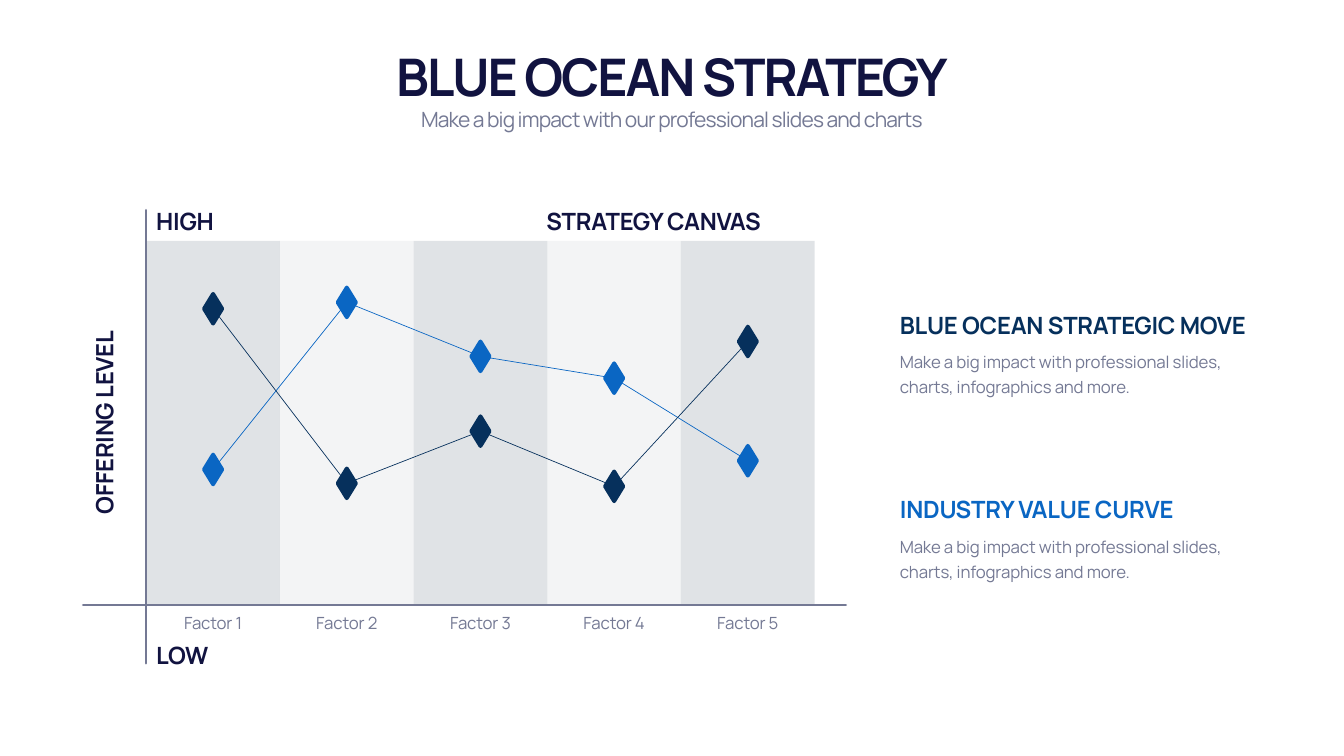
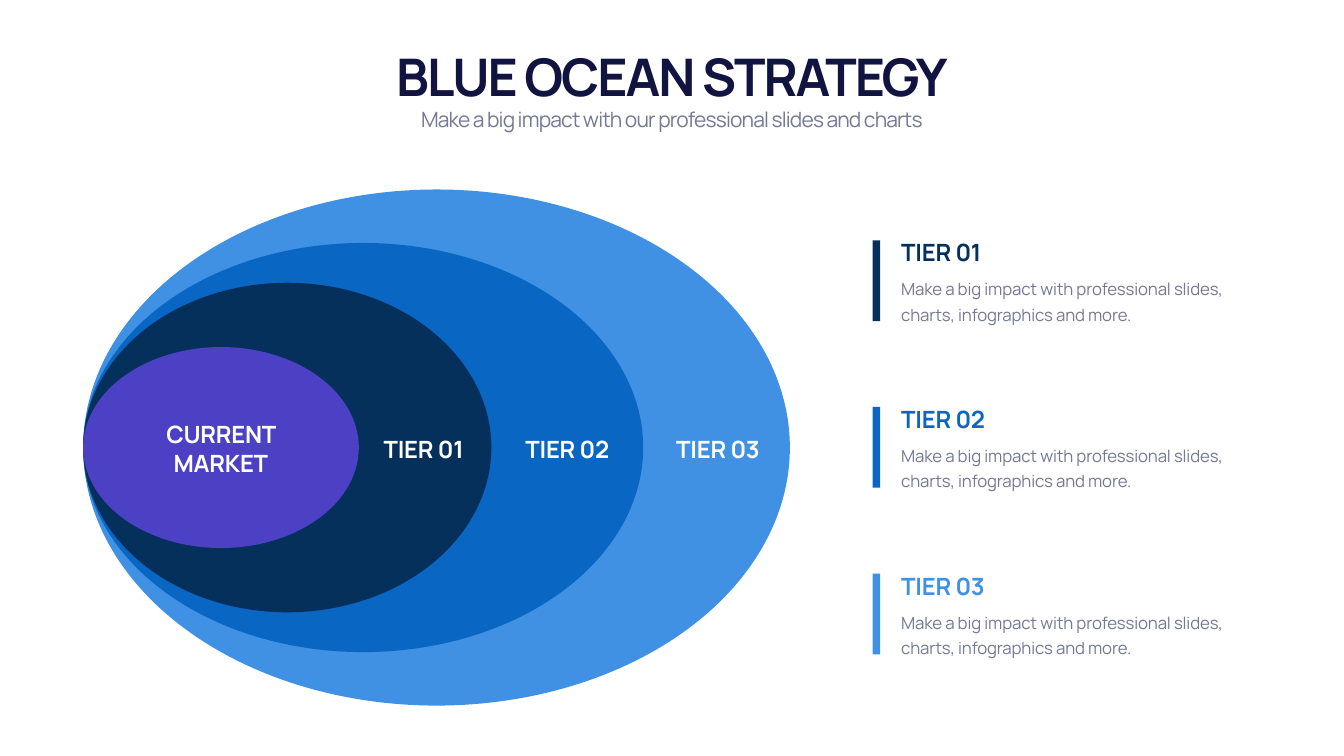
import lxml.etree
import pptx
import pptx.dml.color
import pptx.enum.shapes
import pptx.enum.text
import pptx.oxml.ns
import pptx.util

Cm = pptx.util.Cm
Pt = pptx.util.Pt
Shapes = pptx.enum.shapes.MSO_SHAPE
Align = pptx.enum.text.PP_ALIGN
Anchor = pptx.enum.text.MSO_ANCHOR
qn = pptx.oxml.ns.qn

FONT = "Manrope"
COLORS = {
    "ink": "111340",
    "gray": "747994",
    "band": "C3C8CE",
    "navy": "06305C",
    "blue": "0A66C3",
    "sky": "4091E3",
    "violet": "4C40C5",
    "white": "FFFFFF",
}
HEADING = {"size": 34, "bold": True, "spacing": -0.3}
DETAIL = {"size": 24, "color": "gray", "spacing": -0.2, "leading": 36}
DETAIL_TEXT = "Make a big impact with professional slides, charts, infographics and more."
HEADING_HEIGHT = 1.7


def rgb(name):
    """Return the named colour."""
    return pptx.dml.color.RGBColor.from_string(COLORS[name])


def write(shape, text, size=24, color="ink", bold=False, spacing=0, leading=None,
          align=Align.LEFT, anchor=Anchor.TOP):
    """Put one formatted paragraph into a shape."""
    frame = shape.text_frame
    frame.word_wrap = True
    frame.auto_size = pptx.enum.text.MSO_AUTO_SIZE.SHAPE_TO_FIT_TEXT
    frame.vertical_anchor = anchor
    paragraph = frame.paragraphs[0]
    paragraph.alignment = align
    paragraph.space_before = Pt(0)
    paragraph.line_spacing = Pt(leading) if leading else 1.0
    run = paragraph.add_run()
    run.text = text
    run.font.name = FONT
    run.font.size = Pt(size)
    run.font.bold = bold
    run.font.color.rgb = rgb(color)
    run.font._element.set("spc", str(round(spacing * 100)))


def add_text(slide, box, text, **style):
    """Add a text box given as left, top, width, height in centimetres."""
    shape = slide.shapes.add_textbox(*map(Cm, box))
    write(shape, text, **style)
    return shape


def add_filled(slide, kind, box, color, opacity=None):
    """Add a plain filled shape without outline."""
    shape = slide.shapes.add_shape(kind, *map(Cm, box))
    shape.shadow.inherit = False
    shape.fill.solid()
    shape.fill.fore_color.rgb = rgb(color)
    shape.line.fill.background()
    if opacity:
        fill_color = shape._element.spPr.find(qn("a:solidFill"))[0]
        lxml.etree.SubElement(fill_color, qn("a:alpha"), val=str(opacity * 1000))
    return shape


def add_axis(slide, start, end):
    """Draw one round-ended axis line."""
    axis = slide.shapes.add_connector(
        pptx.enum.shapes.MSO_CONNECTOR.STRAIGHT, *map(Cm, start + end))
    axis.line.width = Pt(3.5)
    axis.line.color.rgb = rgb("gray")
    properties = axis._element.spPr
    properties.find(qn("a:ln")).set("cap", "rnd")
    lxml.etree.SubElement(properties, qn("a:effectLst"))


def add_marker(slide, x, y, color):
    """Draw a diamond with rounded corners around a point."""
    width, height = 0.92, 1.5
    marker = add_filled(slide, Shapes.DIAMOND,
                        (x - width / 2, y - height / 2, width, height), color)
    marker.line.color.rgb = rgb(color)
    marker.line.width = Pt(5.5)
    outline = marker._element.spPr.find(qn("a:ln"))
    lxml.etree.SubElement(outline, qn("a:round"))


def add_curve(slide, points, color):
    """Draw one value curve with its markers."""
    for x, y in points:
        add_marker(slide, x, y, color)
    corners = [(Cm(x), Cm(y)) for x, y in points]
    builder = slide.shapes.build_freeform(*corners[0])
    builder.add_line_segments(corners[1:], close=False)
    curve = builder.convert_to_shape()
    curve.shadow.inherit = False
    curve.fill.background()
    curve.line.color.rgb = rgb(color)
    curve.line.width = Pt(1)


def add_titled_slide(presentation):
    """Add a slide with the shared title and subtitle."""
    slide = presentation.slides.add_slide(presentation.slide_layouts[0])
    title, subtitle = slide.placeholders
    for shape, top, height in ((title, 2.08, 3.43), (subtitle, 5.26, 1.55)):
        shape.left, shape.top = Cm(4.22), Cm(top)
        shape.width, shape.height = Cm(59.26), Cm(height)
    write(title, "BLUE OCEAN STRATEGY", size=74, bold=True, spacing=-2.9,
          align=Align.CENTER, anchor=Anchor.BOTTOM)
    write(subtitle, "Make a big impact with our professional slides and charts",
          size=30, color="gray", spacing=-1.2, align=Align.CENTER)
    return slide


def add_legend_item(slide, left, top, width, heading, color):
    """Add a coloured heading with its description below."""
    add_text(slide, (left, top, width, HEADING_HEIGHT), heading, color=color,
             anchor=Anchor.BOTTOM, **HEADING)
    add_text(slide, (left, top + 1.83, width, 2.77), DETAIL_TEXT, **DETAIL)


def add_strategy_canvas(slide, left, top, width, height):
    """Draw bands, axes, curves and labels of the strategy canvas."""
    curves = {
        "blue": (11.52, 3.1, 5.82, 6.92, 11.08),
        "navy": (3.42, 12.22, 9.59, 12.37, 5.07),
    }
    count = 5
    bottom = top + height
    band_width = width / count
    centers = [left + band_width * (index + 0.5) for index in range(count)]
    for index, center in enumerate(centers):
        add_filled(slide, Shapes.RECTANGLE,
                   (center - band_width / 2, top, band_width, height),
                   "band", opacity=20 if index % 2 else 50)
    add_axis(slide, (left, top - 1.55), (left, bottom + 2.95))
    add_axis(slide, (left - 3.18, bottom), (left + width + 1.57, bottom))
    for color, depths in curves.items():
        add_curve(slide, [(x, top + depth) for x, depth in zip(centers, depths)], color)

    labels = (
        ("STRATEGY CANVAS", 17.83, top - 1.83, 15.47, Align.CENTER, 0),
        ("OFFERING LEVEL", -9.88, top + 8.31, 15.49, Align.CENTER, 270),
        ("HIGH", 0.25, top - 1.83, 4.83, Align.LEFT, 0),
        ("LOW", 0.25, bottom + 1.7, 4.83, Align.LEFT, 0),
    )
    for text, offset, label_top, label_width, align, rotation in labels:
        label = add_text(slide, (left + offset, label_top, label_width, HEADING_HEIGHT),
                         text, align=align, anchor=Anchor.MIDDLE, **HEADING)
        label.rotation = rotation
    factor_width = 6.17
    for number, center in enumerate(centers, 1):
        add_text(slide, (center - factor_width / 2, bottom, factor_width, 1.47),
                 f"Factor {number}", align=Align.CENTER, **DETAIL)


def add_market_tiers(slide, left, top, height):
    """Draw nested ellipses that share their left edge, with labels."""
    middle = top + height / 2
    ellipses = (
        (35.61, 26.01, "sky"),
        (28.22, 20.62, "blue"),
        (20.57, 16.61, "navy"),
        (13.89, 10.13, "violet"),
    )
    for ellipse_width, ellipse_height, color in ellipses:
        add_filled(slide, Shapes.OVAL,
                   (left, middle - ellipse_height / 2, ellipse_width, ellipse_height), color)
    labels = (
        ("CURRENT MARKET", 2.19, 9.5, 3.18),
        ("TIER 01", 13.92, 6.48, HEADING_HEIGHT),
        ("TIER 02", 21.16, 6.48, HEADING_HEIGHT),
        ("TIER 03", 28.75, 6.48, HEADING_HEIGHT),
    )
    for text, offset, label_width, label_height in labels:
        add_text(slide, (left + offset, middle + 0.05 - label_height / 2,
                         label_width, label_height),
                 text, color="white", align=Align.CENTER, anchor=Anchor.MIDDLE, **HEADING)


def build_canvas_slide(presentation):
    """Build the strategy canvas slide."""
    slide = add_titled_slide(presentation)
    add_strategy_canvas(slide, 7.37, 12.14, 33.68, 18.34)
    add_legend_item(slide, 45.09, 15.52, 18.57, "BLUE OCEAN STRATEGIC MOVE", "navy")
    add_legend_item(slide, 45.09, 24.82, 18.57, "INDUSTRY VALUE CURVE", "blue")


def build_tiers_slide(presentation):
    """Build the market tiers slide."""
    slide = add_titled_slide(presentation)
    add_market_tiers(slide, 4.19, 9.55, 26.01)
    for index, color in enumerate(("navy", "blue", "sky")):
        top = 11.86 + 8.4 * index
        add_filled(slide, Shapes.RECTANGLE, (43.97, top + 0.25, 0.38, 4.07), color)
        add_legend_item(slide, 45.16, top, 18.31, f"TIER {index + 1:02}", color)


def main():
    """Build and save the presentation."""
    presentation = pptx.Presentation()
    presentation.slide_width = Cm(67.72)
    presentation.slide_height = Cm(38.1)
    build_canvas_slide(presentation)
    build_tiers_slide(presentation)
    presentation.save("out.pptx")


if __name__ == "__main__":
    main()
